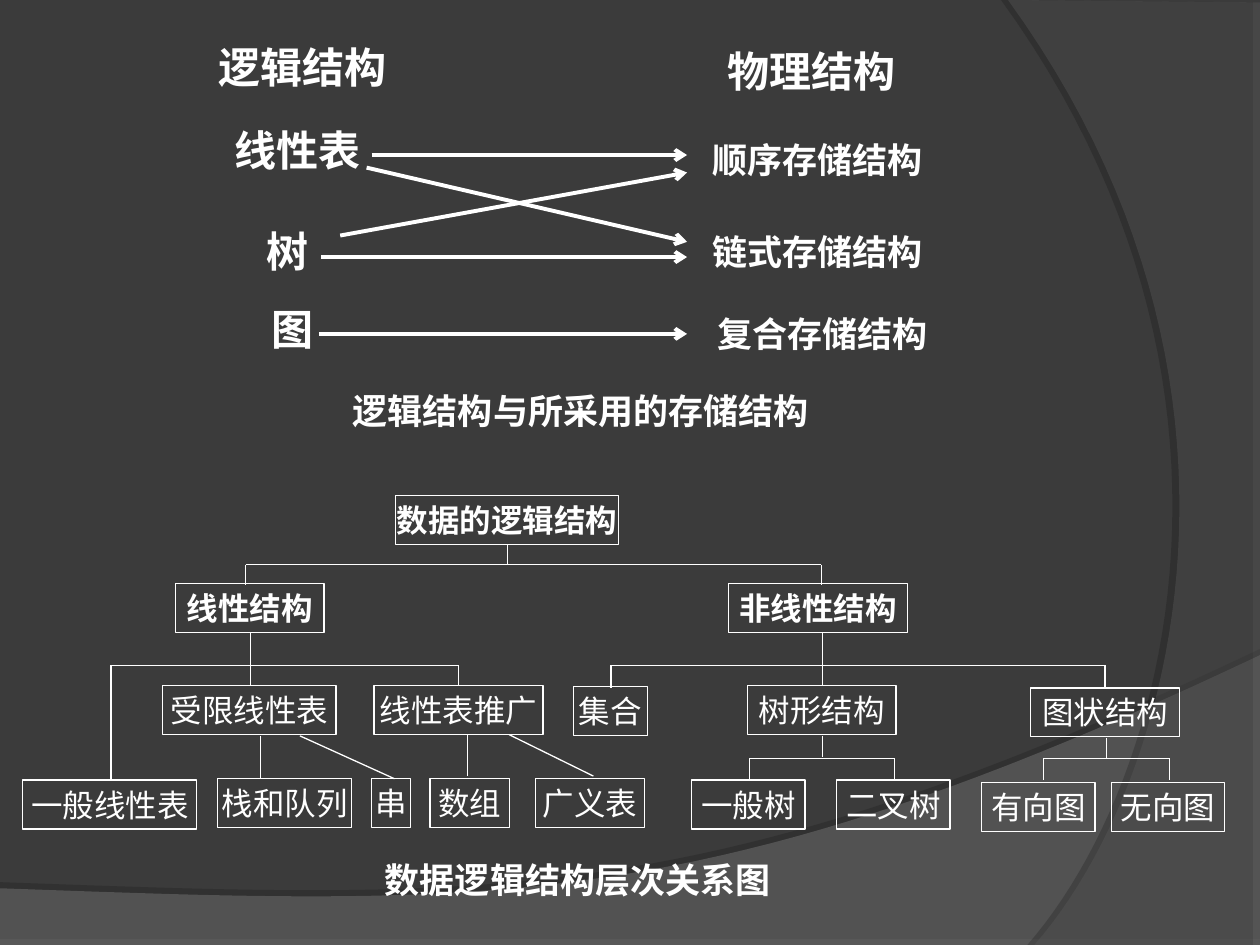
from dataclasses import dataclass

from lxml.etree import SubElement
from pptx import Presentation
from pptx.dml.color import RGBColor
from pptx.enum.shapes import MSO_CONNECTOR, MSO_SHAPE
from pptx.enum.text import MSO_ANCHOR, PP_ALIGN
from pptx.oxml.ns import qn
from pptx.util import Pt


@dataclass(frozen=True)
class Theme:
    background: str = "3B3B3B"
    ink: str = "FFFFFF"
    shadow: str = "000000"
    latin: str = "Times New Roman"
    chinese: str = "Noto Sans CJK SC"
    heading: int = 24
    label: int = 20
    node: int = 18
    thin: float = 0.75
    thick: float = 2.25


THEME = Theme()
WIDTH, HEIGHT = 720, 540
NODE_HEIGHT = 28

# Each wave: fill, opacity, points (six numbers make a curve), shadow opacity, distance, angle
WAVES = [
    ("7C7C7C", 45, [(0, 507.6), (0, HEIGHT), (WIDTH, HEIGHT), (WIDTH, 374.4),
                    (402.5, 524.9, 281.5, 517.7, 0, 507.6)], 35, 3.5, 270),
    ("595959", 40, [(WIDTH, 1.4), (WIDTH, HEIGHT), (591.1, HEIGHT),
                    (673.2, 445.7, 733, 216, 576, 0)], 45, 4, 180),
]

# Each label: text, left, top, width, height, size, font
LABELS = [
    ("逻辑结构", 113, 20.2, 120.2, 36, THEME.heading, THEME.latin),
    ("物理结构", 406.8, 22.3, 113.8, 36, THEME.heading, THEME.latin),
    ("线性表", 122.4, 70.6, 95.8, 30.2, THEME.heading, THEME.latin),
    ("树", 134.6, 128.2, 59.8, 30.2, THEME.heading, THEME.latin),
    ("图", 140.4, 172.8, 54, 30.2, THEME.heading, THEME.latin),
    ("顺序存储结构", 395.3, 73.4, 144, 36, THEME.label, THEME.latin),
    ("链式存储结构", 395.3, 126, 144, 36, THEME.label, THEME.latin),
    ("复合存储结构", 398.2, 172.8, 144, 36, THEME.label, THEME.latin),
    ("逻辑结构与所采用的存储结构", 151.9, 219.6, 360, 30.2, THEME.label, THEME.chinese),
    ("数据逻辑结构层次关系图", 164.2, 484.6, 331.9, 36, THEME.label, THEME.chinese),
]

ARROW_TIP = 392.6
# Each arrow: start x, start y, end y
ARROWS = [(212.4, 88.6, 88.6), (209.5, 95.8, 138.2), (194.4, 134.6, 98.6),
          (182.2, 190.8, 190.8), (183.6, 146.9, 146.9)]

# Each level of the tree: bold, nodes as (text, left, top, width)
LEVELS = [
    (True, [("数据的逻辑结构", 226, 283, 127.6)]),
    (True, [("线性结构", 100.1, 333.4, 85), ("非线性结构", 416.2, 333.4, 102.2)]),
    (False, [("受限线性表", 92.9, 391.7, 99.2), ("线性表推广", 213.8, 391.7, 96.5),
             ("集合", 327.6, 392.4, 42.5), ("树形结构", 427, 391.7, 85),
             ("图状结构", 589, 393.1, 85)]),
    (False, [("一般线性表", 13, 445.7, 99.4), ("栈和队列", 124.4, 445, 76.4),
             ("串", 212.4, 445, 22.4), ("数组", 245.8, 445, 45.4),
             ("广义表", 306, 445, 62.4), ("一般树", 395.3, 445.7, 64.8),
             ("二叉树", 478.1, 445.7, 64.8), ("有向图", 561, 447.1, 64.8),
             ("无向图", 635, 447.1, 64.8)]),
]

# Each bracket: stem (x, top, bottom), bar y, drops (x, bottom) whose ends span the bar
BRACKETS = [
    ((290.2, 311.5, 322.9), 322.6, [(140.4, 334.1), (469.4, 334.1)]),
    ((143.3, 362, 391.7), 380.2, [(63.4, 445.7), (262.1, 391.7)]),
    ((470.2, 362, 391.7), 380.2, [(349.2, 393.1), (631.4, 393.1)]),
    ((470.2, 420.5, 432.7), 433.4, [(428.4, 445.7), (511.2, 445.7)]),
    ((632.2, 421.9, 433.4), 433.4, [(596.2, 445.7), (668.2, 445.7)]),
]

# Direct links: start x, start y, end x, end y
LINKS = [(149, 420.5, 149, 445), (171.4, 420.5, 225.4, 445),
         (267.1, 419.8, 267.1, 443.5), (290.9, 419.8, 339.1, 443.5)]


def color(value):
    return RGBColor.from_string(value)


def curve_points(start, curve, steps=48):
    """Sample a cubic curve given as two control points and an end."""
    x1, y1, x2, y2, x3, y3 = curve
    for step in range(1, steps + 1):
        t = step / steps
        weights = ((1 - t) ** 3, 3 * t * (1 - t) ** 2, 3 * t * t * (1 - t), t ** 3)
        yield tuple(sum(weight * value for weight, value in zip(weights, values))
                    for values in ((start[0], x1, x2, x3), (start[1], y1, y2, y3)))


def add_alpha(color_element, percent):
    SubElement(color_element, qn("a:alpha"), val=str(percent * 1000))


def add_wave(slide, fill, opacity, outline, shadow_opacity, distance, angle):
    points = []
    for part in outline:
        points.extend(curve_points(points[-1], part) if len(part) == 6 else [part])
    points = [(Pt(x), Pt(y)) for x, y in points]
    builder = slide.shapes.build_freeform(*points[0])
    builder.add_line_segments(points[1:], close=True)
    shape = builder.convert_to_shape()
    shape.fill.solid()
    shape.fill.fore_color.rgb = color(fill)
    shape.line.fill.background()
    shape.shadow.inherit = False
    properties = shape._element.spPr
    add_alpha(properties.find(qn("a:solidFill"))[0], opacity)
    shadow = SubElement(properties.find(qn("a:effectLst")), qn("a:outerShdw"), blurRad="0",
                        dist=str(Pt(distance)), dir=str(angle * 60000), rotWithShape="0")
    add_alpha(SubElement(shadow, qn("a:srgbClr"), val=THEME.shadow), shadow_opacity)


def write(shape, text, size, bold, font_name, wrap=False):
    frame = shape.text_frame
    frame.word_wrap = wrap
    frame.vertical_anchor = MSO_ANCHOR.MIDDLE
    paragraph = frame.paragraphs[0]
    paragraph.text = text
    paragraph.alignment = PP_ALIGN.CENTER
    font = paragraph.font
    font.name, font.size, font.bold = font_name, Pt(size), bold
    font.color.rgb = color(THEME.ink)
    defaults = paragraph._p.pPr.find(qn("a:defRPr"))
    SubElement(defaults, qn("a:ea"), typeface=THEME.chinese)


def add_label(slide, text, left, top, width, height, size, font_name):
    box = slide.shapes.add_textbox(Pt(left), Pt(top), Pt(width), Pt(height))
    write(box, text, size, True, font_name, wrap=font_name == THEME.chinese)


def add_node(slide, bold, text, left, top, width):
    node = slide.shapes.add_shape(MSO_SHAPE.RECTANGLE, Pt(left), Pt(top), Pt(width),
                                  Pt(NODE_HEIGHT))
    node.shadow.inherit = False
    node.fill.background()
    node.line.color.rgb = color(THEME.ink)
    node.line.width = Pt(THEME.thin)
    write(node, text, THEME.node, bold, THEME.latin)


def add_line(slide, x1, y1, x2, y2, arrow=False):
    line = slide.shapes.add_connector(MSO_CONNECTOR.STRAIGHT, Pt(x1), Pt(y1), Pt(x2), Pt(y2))
    line.line.color.rgb = color(THEME.ink)
    line.line.width = Pt(THEME.thick if arrow else THEME.thin)
    properties = line._element.spPr
    if arrow:
        SubElement(properties.find(qn("a:ln")), qn("a:tailEnd"), type="arrow")
    SubElement(properties, qn("a:effectLst"))


def add_bracket(slide, stem, bar, drops):
    x, top, bottom = stem
    add_line(slide, x, top, x, bottom)
    add_line(slide, drops[0][0], bar, drops[-1][0], bar)
    for drop_x, drop_bottom in drops:
        add_line(slide, drop_x, bar, drop_x, drop_bottom)


def main():
    presentation = Presentation()
    presentation.slide_width, presentation.slide_height = Pt(WIDTH), Pt(HEIGHT)
    slide = presentation.slides.add_slide(presentation.slide_layouts[6])
    slide.background.fill.solid()
    slide.background.fill.fore_color.rgb = color(THEME.background)
    for wave in WAVES:
        add_wave(slide, *wave)
    for bold, nodes in LEVELS:
        for node in nodes:
            add_node(slide, bold, *node)
    for bracket in BRACKETS:
        add_bracket(slide, *bracket)
    for link in LINKS:
        add_line(slide, *link)
    for label in LABELS:
        add_label(slide, *label)
    for x, start_y, end_y in ARROWS:
        add_line(slide, x, start_y, ARROW_TIP, end_y, arrow=True)
    presentation.save("out.pptx")


if __name__ == "__main__":
    main()
